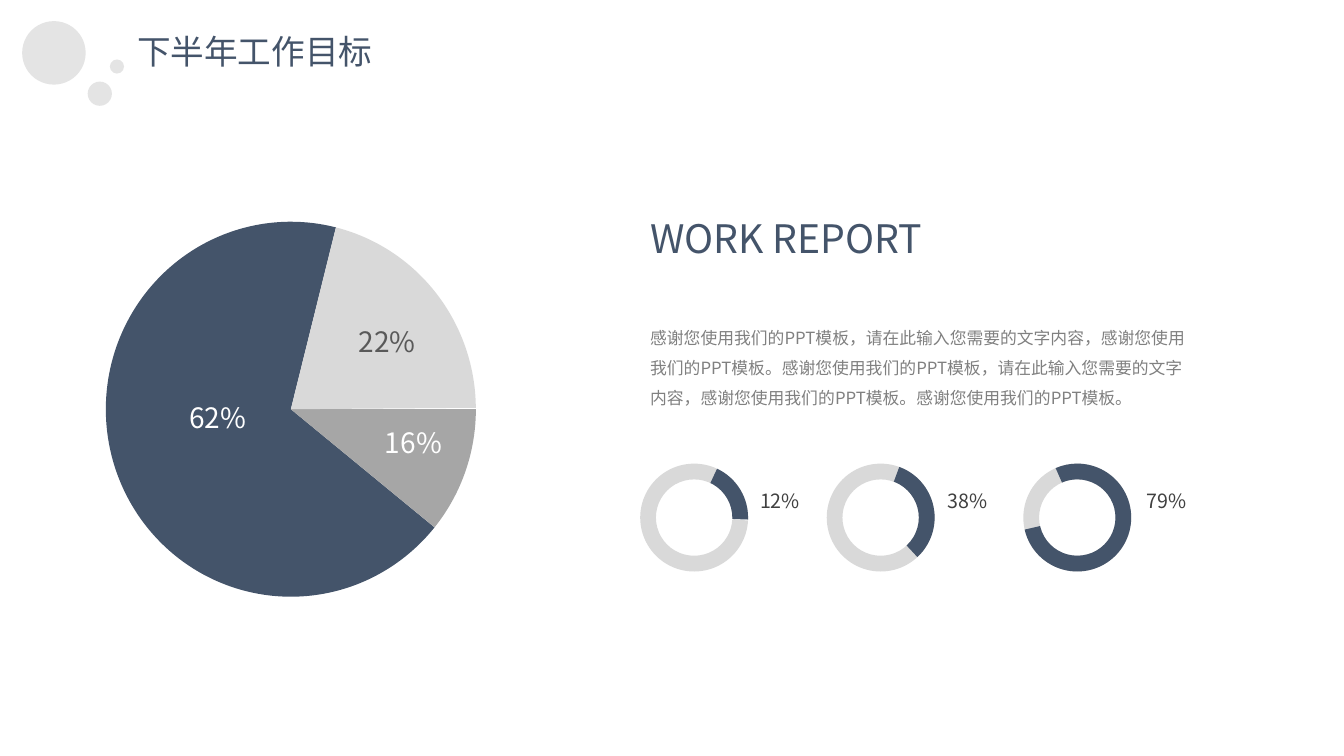
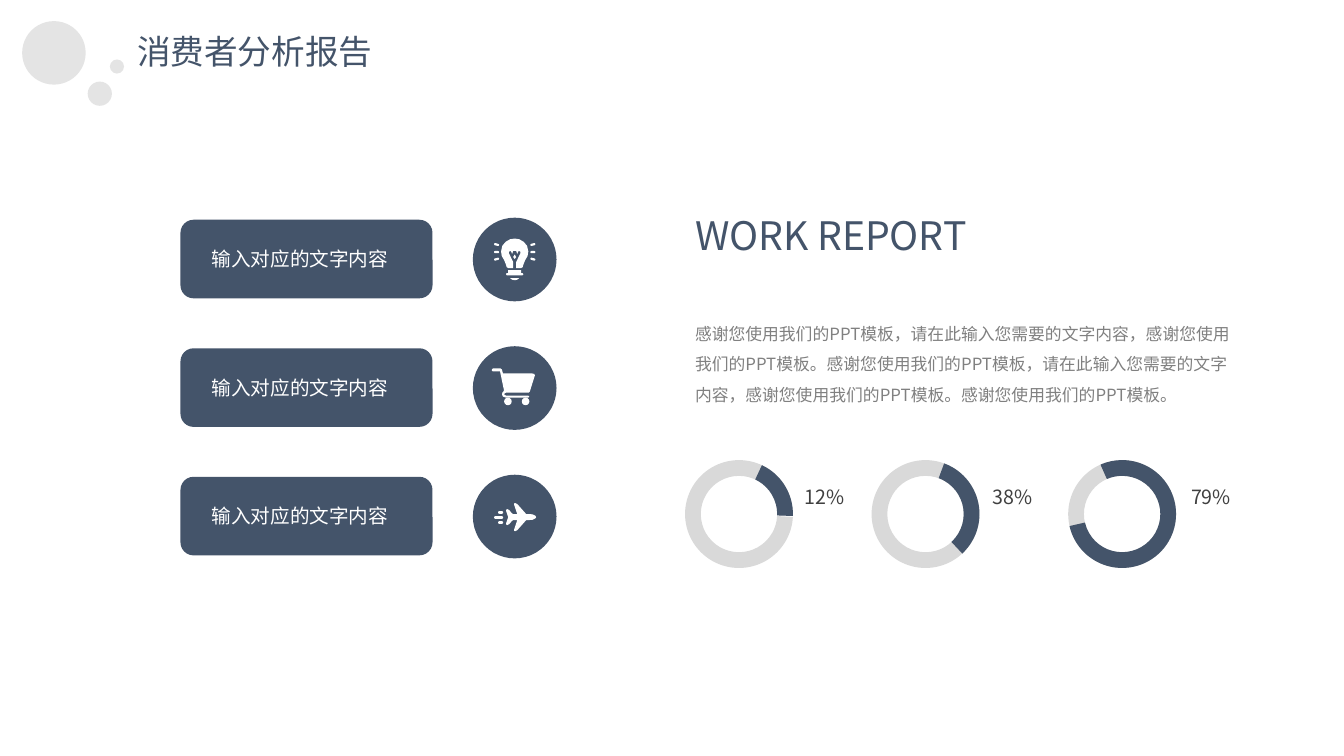
from dataclasses import dataclass
from typing import NamedTuple

from lxml.etree import SubElement
from pptx import Presentation
from pptx.dml.color import RGBColor
from pptx.enum.shapes import MSO_SHAPE
from pptx.enum.text import MSO_ANCHOR, MSO_AUTO_SIZE, PP_ALIGN
from pptx.oxml.ns import qn
from pptx.shapes.autoshape import Shape
from pptx.slide import Slide, SlideLayout
from pptx.text.text import TextFrame
from pptx.util import Emu, Inches, Pt

# Grid: square cells, a tenth of an inch each
WIDTH, HEIGHT = Inches(13.33), Inches(7.5)
CELL = HEIGHT / 75

# Shared colours and font
NAVY = RGBColor(0x44, 0x54, 0x6A)
WHITE = RGBColor(0xFF, 0xFF, 0xFF)
PALE = RGBColor(0xD9, 0xD9, 0xD9)
MID_GREY = RGBColor(0xA6, 0xA6, 0xA6)
BODY_GREY = RGBColor(0x80, 0x80, 0x80)
DARK_GREY = RGBColor(0x59, 0x59, 0x59)
CHARCOAL = RGBColor(0x40, 0x40, 0x40)
FONT = "Noto Sans CJK SC"

# Text frame formats
LABEL_FRAME = {
    "word_wrap": False,
    "auto_size": MSO_AUTO_SIZE.SHAPE_TO_FIT_TEXT,
    "vertical_anchor": MSO_ANCHOR.TOP,
}
BODY_FRAME = LABEL_FRAME | {"word_wrap": True}
BUTTON_FRAME = {
    "word_wrap": False,
    "auto_size": MSO_AUTO_SIZE.NONE,
    "vertical_anchor": MSO_ANCHOR.MIDDLE,
    "margin_left": Emu(round(2.7 * CELL)),
}

BODY_TEXT = (
    "感谢您使用我们的PPT模板，请在此输入您需要的文字内容，感谢您使用我们的PPT模板。"
    "感谢您使用我们的PPT模板，请在此输入您需要的文字内容，感谢您使用我们的PPT模板。"
    "感谢您使用我们的PPT模板。"
)
BUTTON_TEXT = "输入对应的文字内容"

Point = tuple[float, float]


class Box(NamedTuple):
    """Left, top, width and height in grid cells."""

    left: float
    top: float
    width: float
    height: float

    def emu(self) -> list[Emu]:
        return [Emu(round(length * CELL)) for length in self]


class Gauge(NamedTuple):
    label: str
    offset: float
    label_offset: float
    start: float
    end: float


class Slice(NamedTuple):
    label: str
    start: float
    end: float
    fill: RGBColor
    ink: RGBColor
    label_left: float
    label_top: float


class Piece(NamedTuple):
    kind: MSO_SHAPE
    box: Box
    turn: float = 0


@dataclass
class Icon:
    outlines: list[list[Point]]
    pieces: list[Piece]


# Content
TITLE_BOX = Box(12.6, 2.6, 25.6, 5)
BUBBLES = [Box(2.2, 2.1, 6.3, 6.3), Box(8.7, 8.1, 2.4, 2.4), Box(10.9, 5.9, 1.4, 1.4)]
GAUGES = [
    Gauge("12%", 0, 10.9, 295.16, 2.1),
    Gauge("38%", 18.5, 29.5, 290.21, 47.1),
    Gauge("79%", 38, 49.2, 246.4, 167.1),
]
PIE_BOX = Box(10.5, 22, 36.7, 37.2)
SLICES = [
    Slice("62%", 39.44, 283.93, NAVY, WHITE, 17.8, 39.2),
    Slice("16%", 0, 39.4, MID_GREY, WHITE, 37.2, 41.7),
    Slice("22%", 283.92, 359.54, PALE, DARK_GREY, 34.6, 31.7),
]


# Icons, in cells from the corner of their disc
def mirror_x(half: list[Point], axis: float) -> list[Point]:
    return half + [(2 * axis - x, y) for x, y in reversed(half)]


def mirror_y(half: list[Point], axis: float) -> list[Point]:
    return half + [(x, 2 * axis - y) for x, y in reversed(half)]


RAYS = [
    Piece(MSO_SHAPE.ROUNDED_RECTANGLE, Box(left, top, 0.5, 0.22), side * turn)
    for left, side in ((2.1, -1), (5.7, 1))
    for top, turn in ((2.55, -15), (3.3, 0), (4.0, 15))
]
BULB = Icon(
    [
        mirror_x([
            (4.15, 2.07), (4.6, 2.14), (5.05, 2.4), (5.38, 2.8), (5.5, 3.35),
            (5.43, 3.8), (5.2, 4.2), (5, 4.7), (4.95, 4.9), (4.8, 5), (4.3, 5),
            (4.3, 4.4), (4.73, 3.5), (4.7, 3.35), (4.53, 3.3), (4.4, 3.6),
            (4.3, 3.3), (4.15, 3.28),
        ], 4.15),
        mirror_x([(4.15, 3.65), (4.3, 3.9), (4.15, 4.1)], 4.15),
        mirror_x([(4.15, 6), (4.6, 6), (4.4, 6.15), (4.15, 6.2)], 4.15),
    ],
    RAYS + [
        Piece(MSO_SHAPE.RECTANGLE, Box(3.5, 5.2, 1.3, 0.35)),
        Piece(MSO_SHAPE.ROUNDED_RECTANGLE, Box(3.3, 5.5, 1.7, 0.22)),
    ],
)
CART = Icon(
    [[
        (3.3, 4.6), (5.55, 4.6), (5.65, 4.5), (6.15, 2.9), (6.1, 2.75), (5.9, 2.7),
        (3, 2.7), (2.87, 2.3), (2.75, 2.2), (2, 2.2), (1.9, 2.3), (1.9, 2.43),
        (2, 2.5), (2.7, 2.5), (3.1, 4.4), (2.93, 4.6), (2.9, 4.8), (3, 5), (3.3, 5.1),
        (5.5, 5.1), (5.6, 5), (5.5, 4.9), (3.3, 4.9), (3.12, 4.8), (3.12, 4.7),
    ]],
    [Piece(MSO_SHAPE.OVAL, Box(left, 5.1, 0.75, 0.75)) for left in (3.1, 4.85)],
)
PLANE = Icon(
    [mirror_y([
        (6.28, 4.2), (6.2, 4.07), (5.9, 3.92), (5.3, 3.9), (5.2, 3.8), (4.4, 2.9),
        (4.2, 2.8), (4.08, 2.85), (4.1, 3), (4.4, 3.9), (4, 3.9), (3.85, 3.8),
        (3.6, 3.5), (3.4, 3.4), (3.3, 3.5), (3.3, 3.6), (3.5, 4.2),
    ], 4.2)],
    [
        Piece(MSO_SHAPE.ROUNDED_RECTANGLE, Box(*dash))
        for dash in ((2.5, 3.6, 0.5, 0.27), (2.1, 4.1, 0.9, 0.27), (2.5, 4.6, 0.5, 0.27))
    ],
)


# Drawing helpers
def write(frame: TextFrame, text: str, size: float, ink: RGBColor,
          layout: dict[str, object], spacing: float | None = None) -> None:
    for name, value in layout.items():
        setattr(frame, name, value)
    line = frame.paragraphs[0]
    for name, value in {"alignment": PP_ALIGN.LEFT, "line_spacing": spacing}.items():
        setattr(line, name, value)
    run = line.add_run()
    run.text = text
    run.font.color.rgb = ink
    for name, value in {"size": Pt(size), "name": FONT, "bold": False}.items():
        setattr(run.font, name, value)
    SubElement(run.font._element, qn("a:ea"), typeface=FONT)


def add_label(slide: Slide, box: Box, text: str, size: float, ink: RGBColor,
              layout: dict[str, object] = LABEL_FRAME,
              spacing: float | None = None) -> None:
    label = slide.shapes.add_textbox(*box.emu())
    write(label.text_frame, text, size, ink, layout, spacing)


def paint(shape: Shape, fill: RGBColor) -> Shape:
    shape.shadow.inherit = False
    shape.fill.solid()
    shape.fill.fore_color.rgb = fill
    shape.line.fill.background()
    return shape


def add_solid(shapes, kind: MSO_SHAPE, box: Box, fill: RGBColor) -> Shape:
    return paint(shapes.add_shape(kind, *box.emu()), fill)


def add_sector(slide: Slide, kind: MSO_SHAPE, box: Box, fill: RGBColor,
               start: float, end: float) -> Shape:
    """Draw a pie or ring sector; angles are in degrees, clockwise from the right."""
    sector = add_solid(slide.shapes, kind, box, fill)
    for index, degrees in enumerate((start, end)):
        sector.adjustments[index] = degrees * 0.6
    return sector


def add_icon(slide: Slide, icon: Icon, left: float, top: float) -> None:
    group = slide.shapes.add_group_shape()
    corner = [Emu(round(length * CELL)) for length in (left, top)]
    for outline in icon.outlines:
        first, *rest = [(x * 1000, y * 1000) for x, y in outline]
        builder = group.shapes.build_freeform(*first, scale=CELL / 1000)
        builder.add_line_segments(rest, close=True)
        paint(builder.convert_to_shape(*corner), WHITE)
    for piece in icon.pieces:
        box = piece.box._replace(left=left + piece.box.left, top=top + piece.box.top)
        solid = add_solid(group.shapes, piece.kind, box, WHITE)
        solid.rotation = piece.turn
        if piece.kind == MSO_SHAPE.ROUNDED_RECTANGLE:
            solid.adjustments[0] = 0.5


# Shared parts
def add_bubbles(layout: SlideLayout, slide: Slide) -> None:
    """Draw the corner bubbles and hand them over to the layout."""
    for box in BUBBLES:
        bubble = add_solid(slide.shapes, MSO_SHAPE.FLOWCHART_CONNECTOR, box, PALE)
        tint = bubble.element.find(".//" + qn("a:srgbClr"))
        SubElement(tint, qn("a:alpha"), val="70000")
        layout.shapes.element.append(bubble.element)


def add_title(slide: Slide, text: str) -> None:
    title = slide.shapes.title
    for name, value in zip(("left", "top", "width", "height"), TITLE_BOX.emu()):
        setattr(title, name, value)
    write(title.text_frame, text, 24, NAVY, LABEL_FRAME)


def add_report(slide: Slide, left: float, top: float) -> None:
    """Heading, paragraph and three ring gauges."""
    for gauge in GAUGES:
        ring = Box(left + gauge.offset, top + 25.2, 10.7, 10.7)
        for fill, start, end in ((PALE, 3.05, 2.1), (NAVY, gauge.start, gauge.end)):
            arc = add_sector(slide, MSO_SHAPE.BLOCK_ARC, ring, fill, start, end)
            arc.adjustments[2] = 0.146
        add_label(slide, Box(left + gauge.label_offset, top + 27.2, 6.2, 3.4),
                  gauge.label, 14, CHARCOAL)
    add_label(slide, Box(left, top, 30.8, 5.7), "WORK REPORT", 28, NAVY)
    add_label(slide, Box(left, top + 10.2, 55.1, 9.6), BODY_TEXT, 12, BODY_GREY,
              BODY_FRAME, 1.5)


# Slides
def build_goals(slide: Slide) -> None:
    add_title(slide, "下半年工作目标")
    add_report(slide, 63.5, 20.8)
    for part in SLICES:
        add_sector(slide, MSO_SHAPE.PIE, PIE_BOX, part.fill, part.start, part.end)
    for part in SLICES:
        add_label(slide, Box(part.label_left, part.label_top, 7.7, 4.4),
                  part.label, 20, part.ink)


def build_consumers(slide: Slide) -> None:
    add_title(slide, "消费者分析报告")
    for row, icon in enumerate((BULB, CART, PLANE)):
        top = 21.6 + row * 12.75
        button = add_solid(slide.shapes, MSO_SHAPE.ROUNDED_RECTANGLE,
                           Box(17.9, top + 0.2, 25, 7.8), NAVY)
        write(button.text_frame, BUTTON_TEXT, 14, WHITE, BUTTON_FRAME)
        add_solid(slide.shapes, MSO_SHAPE.OVAL, Box(46.9, top, 8.3, 8.3), NAVY)
        add_icon(slide, icon, 46.9, top)
    add_report(slide, 67.95, 20.45)


deck = Presentation()
deck.slide_width, deck.slide_height = WIDTH, HEIGHT
title_only = deck.slide_layouts[5]
goals, consumers = (deck.slides.add_slide(title_only) for _ in range(2))
add_bubbles(title_only, goals)
build_goals(goals)
build_consumers(consumers)
deck.save("out.pptx")
